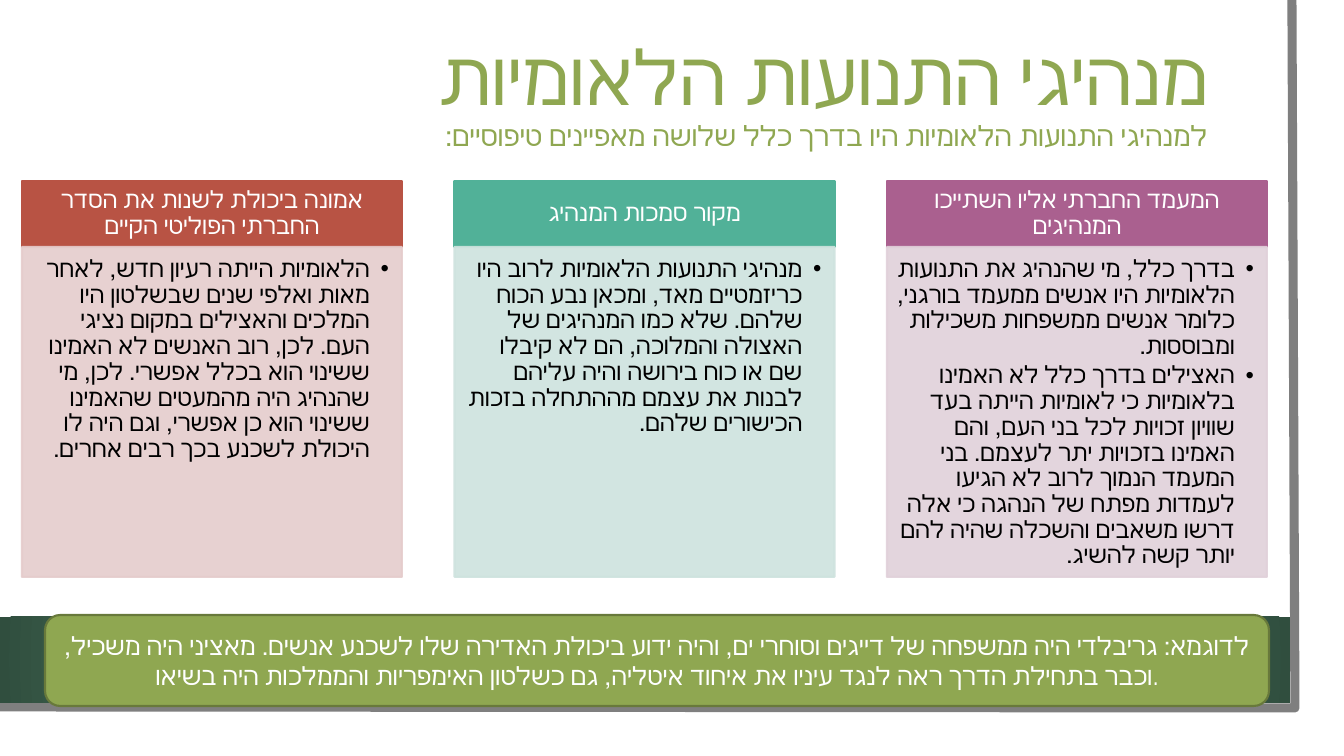
from pptx import Presentation
from pptx.dml.color import RGBColor
from pptx.enum.shapes import MSO_SHAPE as Shape
from pptx.enum.text import MSO_ANCHOR as Anchor, PP_ALIGN as Align
from pptx.oxml import parse_xml
from pptx.oxml.ns import qn
from pptx.util import Pt
from lxml.etree import SubElement

TITLE = "מנהיגי התנועות הלאומיות"
SUBTITLE = "למנהיגי התנועות הלאומיות היו בדרך כלל שלושה מאפיינים טיפוסיים:"
EXAMPLE = (
    "לדוגמא: גריבלדי היה ממשפחה של דייגים וסוחרי ים, והיה ידוע ביכולת האדירה שלו לשכנע אנשים. "
    "מאציני היה משכיל, וכבר בתחילת הדרך ראה לנגד עיניו את איחוד איטליה, "
    "גם כשלטון האימפריות והממלכות היה בשיאו."
)

WHITE = RGBColor(0xFF, 0xFF, 0xFF)
BLACK = RGBColor(0x00, 0x00, 0x00)
GREY = RGBColor(0x7F, 0x7F, 0x7F)
OLIVE = RGBColor(0x8F, 0xA7, 0x51)
DARK_OLIVE = RGBColor(0x68, 0x79, 0x3B)
MID_GREEN = RGBColor(0x62, 0x9D, 0x7D)
DARK_GREEN = RGBColor(0x30, 0x4E, 0x3E)
PURPLE = RGBColor(0xAA, 0x60, 0x8F)
PALE_PURPLE = RGBColor(0xE1, 0xD1, 0xDA)
TEAL = RGBColor(0x51, 0xB1, 0x98)
PALE_TEAL = RGBColor(0xCE, 0xE3, 0xDE)
RED = RGBColor(0xB8, 0x53, 0x44)
PALE_RED = RGBColor(0xE5, 0xCC, 0xCC)

# Cards in reading order, right to left: heading, colour, body colour, points
CARDS = [
    ("המעמד החברתי אליו השתייכו המנהיגים", PURPLE, PALE_PURPLE, [
        "בדרך כלל, מי שהנהיג את התנועות הלאומיות היו אנשים ממעמד בורגני, "
        "כלומר אנשים ממשפחות משכילות ומבוססות.",
        "האצילים בדרך כלל לא האמינו בלאומיות כי לאומיות הייתה בעד שוויון זכויות לכל בני העם, "
        "והם האמינו בזכויות יתר לעצמם. בני המעמד הנמוך לרוב לא הגיעו לעמדות מפתח של הנהגה "
        "כי אלה דרשו משאבים והשכלה שהיה להם יותר קשה להשיג.",
    ]),
    ("מקור סמכות המנהיג", TEAL, PALE_TEAL, [
        "מנהיגי התנועות הלאומיות לרוב היו כריזמטיים מאד, ומכאן נבע הכוח שלהם. "
        "שלא כמו המנהיגים של האצולה והמלוכה, הם לא קיבלו שם או כוח בירושה והיה עליהם "
        "לבנות את עצמם מההתחלה בזכות הכישורים שלהם.",
    ]),
    ("אמונה ביכולת לשנות את הסדר החברתי הפוליטי הקיים", RED, PALE_RED, [
        "הלאומיות הייתה רעיון חדש, לאחר מאות ואלפי שנים שבשלטון היו המלכים והאצילים "
        "במקום נציגי העם. לכן, רוב האנשים לא האמינו ששינוי הוא בכלל אפשרי. לכן, מי שהנהיג "
        "היה מהמעטים שהאמינו ששינוי הוא כן אפשרי, וגם היה לו היכולת לשכנע בכך רבים אחרים.",
    ]),
]

FONT = "Arial Narrow"
EMU_PER_PX = 914400 / 100.8
FRAME_LINE = [(1292, 0), (1295, 708), (-3, 707)]
FIRST_LEFT, LAST_LEFT, CARD_WIDTH = 22, 887, 380
HEAD_TOP, HEAD_HEIGHT, BODY_HEIGHT = 181, 66, 330
BULLET_INDENT = 19


def px(length):
    return round(length * EMU_PER_PX)


def set_all(target, values):
    for name, value in values.items():
        setattr(target, name, value)


def set_frame(shape, anchor, insets):
    sides = ("margin_left", "margin_top", "margin_right", "margin_bottom")
    set_all(shape.text_frame, {"word_wrap": True, "vertical_anchor": anchor,
                               **{side: px(inset) for side, inset in zip(sides, insets)}})


def add_box(kind, bounds, fill, line=None):
    shape = slide.shapes.add_shape(kind, *map(px, bounds))
    shape.shadow.inherit = False
    shape.fill.solid()
    shape.fill.fore_color.rgb = fill
    if line is None:
        shape.line.fill.background()
    else:
        shape.line.color.rgb = line
        shape.line.width = Pt(1.5)
    return shape


def add_run(paragraph, text, size, color):
    run = paragraph.add_run()
    run.text = text
    set_all(run.font, {"size": Pt(size), "name": FONT})
    run.font.color.rgb = color


def set_rtl(paragraph, alignment):
    paragraph._p.get_or_add_pPr().set("rtl", "1")
    set_all(paragraph, {"alignment": alignment, "line_spacing": 0.9})


def add_bullet(paragraph):
    properties = paragraph._p.get_or_add_pPr()
    properties.set("marL", str(px(BULLET_INDENT)))
    properties.set("indent", str(-px(BULLET_INDENT)))
    color = SubElement(properties, qn("a:buClr"))
    SubElement(color, qn("a:srgbClr"), val=str(BLACK))
    SubElement(properties, qn("a:buFont"), typeface="Arial")
    SubElement(properties, qn("a:buChar"), char="•")


def add_backdrop():
    builder = slide.shapes.build_freeform(*FRAME_LINE[0], scale=EMU_PER_PX)
    builder.add_line_segments(FRAME_LINE[1:], close=False)
    edge = builder.convert_to_shape()
    edge.shadow.inherit = False
    edge.fill.background()
    edge.line.color.rgb = GREY
    edge.line.width = Pt(6.5)

    band = add_box(Shape.RECTANGLE, (0, 617, 1290, 86), MID_GREEN)
    stops = "".join(
        f'<a:gs pos="{position * 1000}"><a:srgbClr val="{color}"/></a:gs>'
        for position, color in ((0, MID_GREEN), (34, MID_GREEN), (100, DARK_GREEN)))
    gradient = parse_xml(
        '<a:gradFill xmlns:a="http://schemas.openxmlformats.org/drawingml/2006/main" rotWithShape="1">'
        f'<a:gsLst>{stops}</a:gsLst><a:path path="circle">'
        '<a:fillToRect l="50000" t="50000" r="50000" b="50000"/></a:path></a:gradFill>')
    properties = band._element.spPr
    properties.replace(properties.find(qn("a:solidFill")), gradient)


def add_title():
    box = slide.shapes.add_textbox(*map(px, (72, 33, 1146, 127)))
    set_frame(box, Anchor.MIDDLE, (10, 5, 10, 5))
    paragraph = box.text_frame.paragraphs[0]
    set_rtl(paragraph, Align.RIGHT)
    add_run(paragraph, TITLE, 54, OLIVE)
    paragraph.add_line_break()
    add_run(paragraph, SUBTITLE, 20, OLIVE)


def add_card(left, heading, color, pale, points):
    head = add_box(Shape.RECTANGLE, (left, HEAD_TOP, CARD_WIDTH, HEAD_HEIGHT), color, color)
    set_frame(head, Anchor.MIDDLE, (13, 8, 13, 8))
    paragraph = head.text_frame.paragraphs[0]
    set_rtl(paragraph, Align.CENTER)
    add_run(paragraph, heading, 17, WHITE)

    body = add_box(Shape.RECTANGLE, (left, HEAD_TOP + HEAD_HEIGHT, CARD_WIDTH, BODY_HEIGHT), pale, pale)
    for shade in body._element.spPr.iter(qn("a:srgbClr")):
        SubElement(shade, qn("a:alpha"), val="90000")
    set_frame(body, Anchor.TOP, (10, 10, 13, 15))
    for index, point in enumerate(points):
        frame = body.text_frame
        paragraph = frame.add_paragraph() if index else frame.paragraphs[0]
        paragraph.level = 1
        add_bullet(paragraph)
        set_rtl(paragraph, Align.RIGHT)
        if index:
            paragraph.space_before = Pt(2.5)
        add_run(paragraph, point, 17, BLACK)


def add_example():
    box = add_box(Shape.ROUNDED_RECTANGLE, (45, 615, 1224, 91), OLIVE, DARK_OLIVE)
    set_frame(box, Anchor.MIDDLE, (10, 5, 10, 5))
    paragraph = box.text_frame.paragraphs[0]
    paragraph.alignment = Align.CENTER
    add_run(paragraph, EXAMPLE, 18, WHITE)


presentation = Presentation()
set_all(presentation, {"slide_width": px(1344), "slide_height": px(756)})
slide = presentation.slides.add_slide(presentation.slide_layouts[6])
add_backdrop()
add_title()
card_step = (LAST_LEFT - FIRST_LEFT) / (len(CARDS) - 1)
for column, card in enumerate(CARDS):
    add_card(LAST_LEFT - column * card_step, *card)
add_example()
presentation.save("out.pptx")
